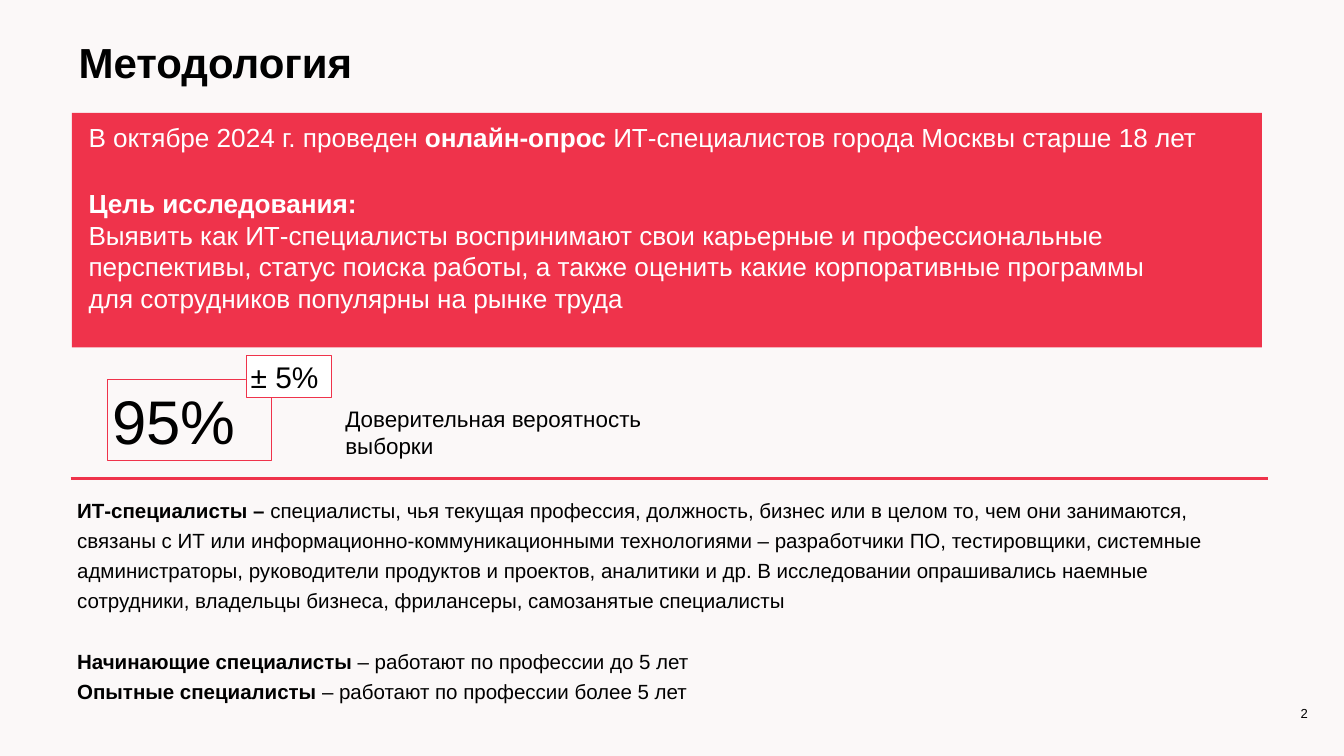
from typing import NamedTuple, Optional

from lxml.etree import SubElement
from pptx import Presentation
from pptx.dml.color import RGBColor
from pptx.enum.shapes import MSO_CONNECTOR, MSO_SHAPE
from pptx.enum.text import MSO_ANCHOR as Anchor, PP_ALIGN as Align
from pptx.oxml.ns import qn
from pptx.util import Inches, Pt

COLORS = {
    "background": "FBF8F8",
    "accent": "EF334B",
    "ink": "000000",
    "white": "FFFFFF",
}


class Span(NamedTuple):
    text: str
    bold: bool = False


class Paragraph(NamedTuple):
    spans: list[Span]
    space_before: float = 0


class Area(NamedTuple):
    left: float
    top: float
    width: float
    height: float

    def lengths(self) -> list[int]:
        return [Inches(value) for value in self]


class Figure(NamedTuple):
    text: str
    area: Area
    size: float
    fill: Optional[str] = None


SURVEY = [
    Paragraph([
        Span("В октябре 2024 г. проведен "),
        Span("онлайн-опрос", True),
        Span(" ИТ-специалистов города Москвы старше 18 лет"),
    ]),
    Paragraph([
        Span("Цель исследования:\n", True),
        Span("Выявить как ИТ-специалисты воспринимают свои карьерные и профессиональные "
             "перспективы, статус поиска работы, а также оценить какие корпоративные программы\n"
             "для сотрудников популярны на рынке труда"),
    ], 38),
]
DEFINITIONS = [
    Paragraph([
        Span("ИТ-специалисты – ", True),
        Span("специалисты, чья текущая профессия, должность, бизнес или в целом то, "
             "чем они занимаются,\n"
             "связаны с ИТ или информационно-коммуникационными технологиями – разработчики ПО, "
             "тестировщики, системные администраторы, руководители продуктов и проектов, "
             "аналитики и др. В исследовании опрашивались наемные сотрудники, владельцы бизнеса, "
             "фрилансеры, самозанятые специалисты"),
    ]),
    Paragraph([Span("Начинающие специалисты ", True),
               Span("– работают по профессии до 5 лет")], 32),
    Paragraph([Span("Опытные специалисты ", True),
               Span("– работают по профессии более 5 лет")]),
]
FIGURES = [
    Figure("95%", Area(1.6, 5.65, 2.44, 1.2), 66),
    Figure("± 5%", Area(3.66, 5.29, 1.27, 0.63), 32, "white"),
]


def rgb(name: str) -> RGBColor:
    """Return a palette colour."""
    return RGBColor.from_string(COLORS[name])


def write(frame, paragraphs: list[Paragraph], *, size: float, color: str = "ink",
          align: Align = Align.LEFT, anchor: Anchor = Anchor.TOP,
          spacing: Optional[float] = None, inset: float = 0.1) -> None:
    """Fill a text frame with formatted paragraphs."""
    frame.word_wrap = True
    frame.vertical_anchor = anchor
    frame.margin_left = frame.margin_right = Inches(inset)
    for index, content in enumerate(paragraphs):
        paragraph = frame.add_paragraph() if index else frame.paragraphs[0]
        paragraph.alignment = align
        paragraph.line_spacing = spacing
        paragraph.space_before = Pt(content.space_before)
        for span in content.spans:
            for number, line in enumerate(span.text.split("\n")):
                if number:
                    paragraph.add_line_break()
                if line:
                    run = paragraph.add_run()
                    run.text = line
                    run.font.name = "Arial"
                    run.font.size = Pt(size)
                    run.font.bold = span.bold
                    run.font.color.rgb = rgb(color)


def add_text(shapes, area: Area, paragraphs: list[Paragraph], **style) -> None:
    """Add a text box."""
    write(shapes.add_textbox(*area.lengths()).text_frame, paragraphs, **style)


def add_box(shapes, area: Area, fill: Optional[str] = None, line: Optional[str] = None):
    """Add a rectangle and return it."""
    box = shapes.add_shape(MSO_SHAPE.RECTANGLE, *area.lengths())
    box.shadow.inherit = False
    if fill:
        box.fill.solid()
        box.fill.fore_color.rgb = rgb(fill)
    else:
        box.fill.background()
    if line:
        box.line.color.rgb = rgb(line)
        box.line.width = Pt(0.75)
    else:
        box.line.fill.background()
    return box


def add_figure(shapes, figure: Figure) -> None:
    """Add an outlined key figure."""
    box = add_box(shapes, figure.area, figure.fill, "accent")
    write(box.text_frame, [Paragraph([Span(figure.text)])], size=figure.size, inset=0.07)


def add_divider(shapes, left: float, right: float, top: float) -> None:
    """Add a horizontal rule."""
    divider = shapes.add_connector(MSO_CONNECTOR.STRAIGHT, Inches(left), Inches(top),
                                   Inches(right), Inches(top))
    divider.line.color.rgb = rgb("accent")
    divider.line.width = Pt(3)
    SubElement(divider._element.spPr, qn("a:effectLst"))


def main() -> None:
    """Build the methodology slide."""
    deck = Presentation()
    deck.slide_width, deck.slide_height = Inches(20), Inches(11.25)
    slide = deck.slides.add_slide(deck.slide_layouts[6])
    slide.background.fill.solid()
    slide.background.fill.fore_color.rgb = rgb("background")
    shapes = slide.shapes

    add_text(shapes, Area(18.67, 10.48, 0.89, 0.27), [Paragraph([Span("2")])],
             size=14, align=Align.RIGHT, anchor=Anchor.MIDDLE)
    add_text(shapes, Area(1.07, 0.5, 12.78, 1.07), [Paragraph([Span("Методология", True)])],
             size=45)
    add_box(shapes, Area(1.07, 1.68, 17.71, 3.49), fill="accent")
    add_text(shapes, Area(1.22, 1.75, 17.2, 3.49), SURVEY, size=28, color="white")
    confidence = shapes.add_group_shape()
    for figure in FIGURES:
        add_figure(confidence.shapes, figure)
    add_text(shapes, Area(5.04, 5.98, 5.9, 0.49),
             [Paragraph([Span("Доверительная вероятность выборки")])], size=24)
    add_divider(shapes, 1.05, 18.87, 7.12)
    add_text(shapes, Area(1.05, 7.27, 17.82, 3), DEFINITIONS, size=22, spacing=1.23)
    deck.save("out.pptx")


if __name__ == "__main__":
    main()
